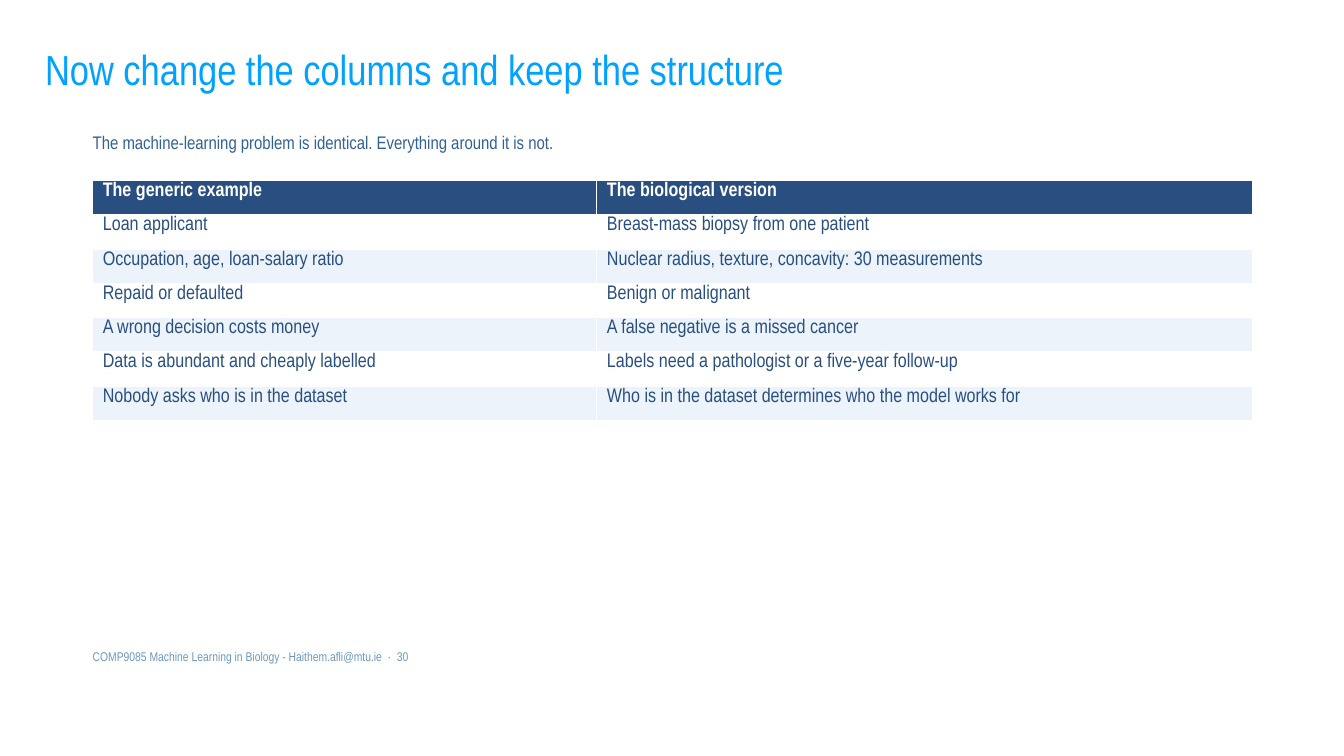
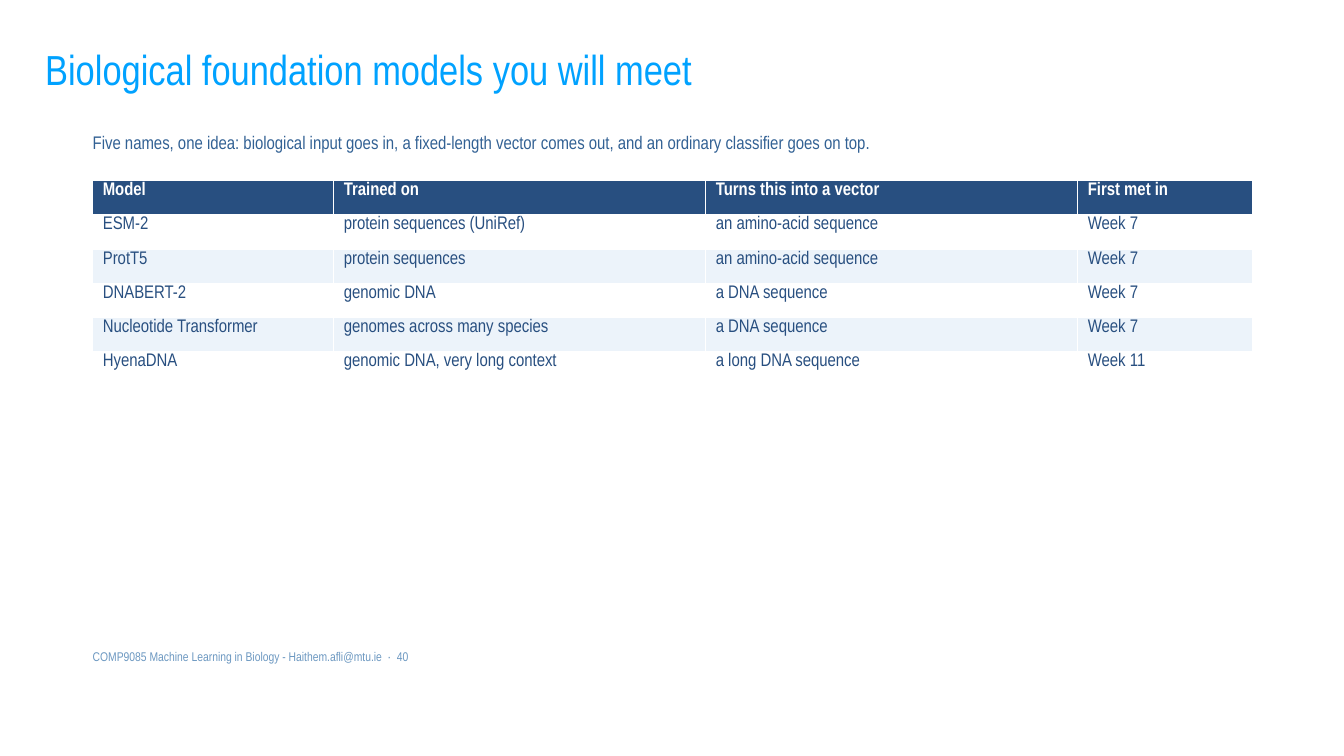
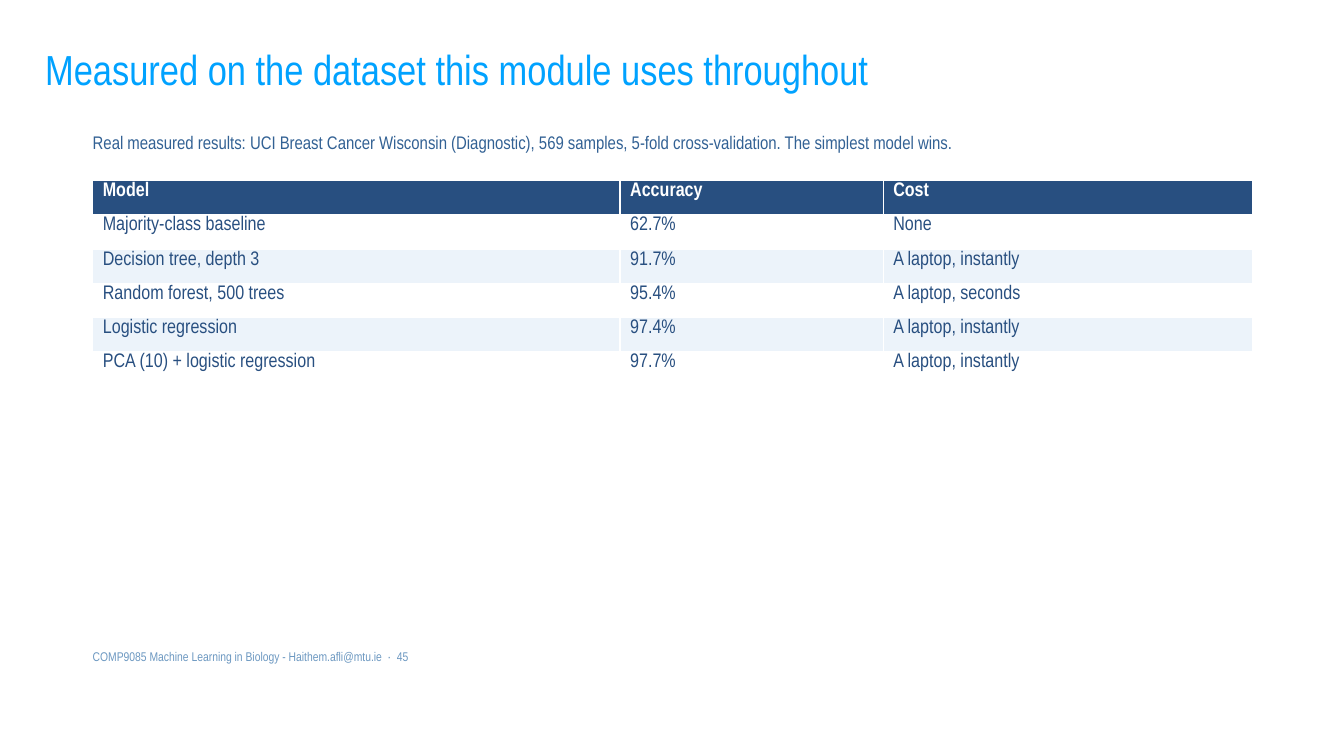
"""Build three slides, each with a title, a lead line, a table and a footer."""
from dataclasses import dataclass

from pptx import Presentation
from pptx.dml.color import RGBColor
from pptx.enum.text import MSO_ANCHOR, MSO_AUTO_SIZE
from pptx.util import Emu, Pt

MIDDLE = MSO_ANCHOR.MIDDLE
TOP = MSO_ANCHOR.TOP
GROW = MSO_AUTO_SIZE.SHAPE_TO_FIT_TEXT
FIXED = MSO_AUTO_SIZE.NONE

EMU_PER_PX = 9144
FONT = "Arial Narrow"
COLORS = {
    "title": "00A2FF",
    "lead": "326194",
    "footer": "6C98C1",
    "navy": "284F80",
    "band": "ECF3FA",
    "white": "FFFFFF",
}
FOOTER = "COMP9085 Machine Learning in Biology - Haithem.afli@mtu.ie  ·  "
CONTENT_LEFT = 92
CONTENT_WIDTH = 1150
TABLE_TOP = 179
ROW_HEIGHT = 34
CELL_INSETS = (10, 2)


@dataclass(frozen=True)
class Box:
    left: int
    top: int
    width: int
    height: int


@dataclass(frozen=True)
class TableSlide:
    title: str
    lead: str
    number: int
    size: int
    widths: tuple[int, ...]
    rows: tuple[tuple[str, ...], ...]


TITLE_BOX = Box(35, 16, 920, 110)
LEAD_BOX = Box(CONTENT_LEFT, 130, CONTENT_WIDTH, 34)
FOOTER_BOX = Box(CONTENT_LEFT, 644, 730, 26)

SLIDES = (
    TableSlide(
        "Now change the columns and keep the structure",
        "The machine-learning problem is identical. Everything around it is not.",
        30,
        14,
        (500, 650),
        (
            ("The generic example", "The biological version"),
            ("Loan applicant", "Breast-mass biopsy from one patient"),
            ("Occupation, age, loan-salary ratio",
             "Nuclear radius, texture, concavity: 30 measurements"),
            ("Repaid or defaulted", "Benign or malignant"),
            ("A wrong decision costs money", "A false negative is a missed cancer"),
            ("Data is abundant and cheaply labelled",
             "Labels need a pathologist or a five-year follow-up"),
            ("Nobody asks who is in the dataset",
             "Who is in the dataset determines who the model works for"),
        ),
    ),
    TableSlide(
        "Biological foundation models you will meet",
        "Five names, one idea: biological input goes in, a fixed-length vector comes out, "
        "and an ordinary classifier goes on top.",
        40,
        13,
        (239, 369, 369, 173),
        (
            ("Model", "Trained on", "Turns this into a vector", "First met in"),
            ("ESM-2", "protein sequences (UniRef)", "an amino-acid sequence", "Week 7"),
            ("ProtT5", "protein sequences", "an amino-acid sequence", "Week 7"),
            ("DNABERT-2", "genomic DNA", "a DNA sequence", "Week 7"),
            ("Nucleotide Transformer", "genomes across many species",
             "a DNA sequence", "Week 7"),
            ("HyenaDNA", "genomic DNA, very long context",
             "a long DNA sequence", "Week 11"),
        ),
    ),
    TableSlide(
        "Measured on the dataset this module uses throughout",
        "Real measured results: UCI Breast Cancer Wisconsin (Diagnostic), 569 samples, "
        "5-fold cross-validation. The simplest model wins.",
        45,
        14,
        (523, 261, 366),
        (
            ("Model", "Accuracy", "Cost"),
            ("Majority-class baseline", "62.7%", "None"),
            ("Decision tree, depth 3", "91.7%", "A laptop, instantly"),
            ("Random forest, 500 trees", "95.4%", "A laptop, seconds"),
            ("Logistic regression", "97.4%", "A laptop, instantly"),
            ("PCA (10) + logistic regression", "97.7%", "A laptop, instantly"),
        ),
    ),
)


def px(length: int) -> Emu:
    return Emu(length * EMU_PER_PX)


def place(box: Box) -> tuple[Emu, ...]:
    return px(box.left), px(box.top), px(box.width), px(box.height)


def write(frame, text: str, *, size: int, color: str, bold: bool = False,
          line_spacing: float | None = None) -> None:
    paragraph = frame.paragraphs[0]
    if line_spacing is not None:
        paragraph.line_spacing = line_spacing
    run = paragraph.add_run()
    run.text = text
    run.font.name = FONT
    run.font.size = Pt(size)
    run.font.bold = bold
    run.font.color.rgb = RGBColor.from_string(COLORS[color])


def set_insets(target, horizontal: int, vertical: int) -> None:
    target.margin_left = target.margin_right = px(horizontal)
    target.margin_top = target.margin_bottom = px(vertical)


def add_text(slide, box: Box, text: str, *, insets: tuple[int, int] = (0, 0),
             anchor=TOP, auto_size=GROW, **text_format) -> None:
    frame = slide.shapes.add_textbox(*place(box)).text_frame
    frame.word_wrap = True
    frame.auto_size = auto_size
    frame.vertical_anchor = anchor
    set_insets(frame, *insets)
    write(frame, text, **text_format)


def add_data_table(slide, content: TableSlide) -> None:
    row_count = len(content.rows)
    box = Box(CONTENT_LEFT, TABLE_TOP, CONTENT_WIDTH, ROW_HEIGHT * row_count)
    table = slide.shapes.add_table(row_count, len(content.widths), *place(box)).table
    for column, width in zip(table.columns, content.widths):
        column.width = px(width)
    for row_index, row in enumerate(content.rows):
        table.rows[row_index].height = px(ROW_HEIGHT)
        header = row_index == 0
        fill = "navy" if header else "white" if row_index % 2 else "band"
        for column_index, text in enumerate(row):
            cell = table.cell(row_index, column_index)
            set_insets(cell, *CELL_INSETS)
            cell.fill.solid()
            cell.fill.fore_color.rgb = RGBColor.from_string(COLORS[fill])
            write(cell.text_frame, text, size=content.size, bold=header,
                  color="white" if header else "navy")


def add_table_slide(presentation, content: TableSlide) -> None:
    slide = presentation.slides.add_slide(presentation.slide_layouts[6])
    add_text(slide, TITLE_BOX, content.title, size=30, color="title", insets=(10, 5),
             anchor=MIDDLE, auto_size=FIXED, line_spacing=0.9)
    add_text(slide, LEAD_BOX, content.lead, size=13, color="lead")
    add_text(slide, FOOTER_BOX, f"{FOOTER}{content.number}", size=9, color="footer")
    add_data_table(slide, content)


def main() -> None:
    presentation = Presentation()
    presentation.slide_width = px(1333)
    presentation.slide_height = px(750)
    for content in SLIDES:
        add_table_slide(presentation, content)
    presentation.save("out.pptx")


if __name__ == "__main__":
    main()
